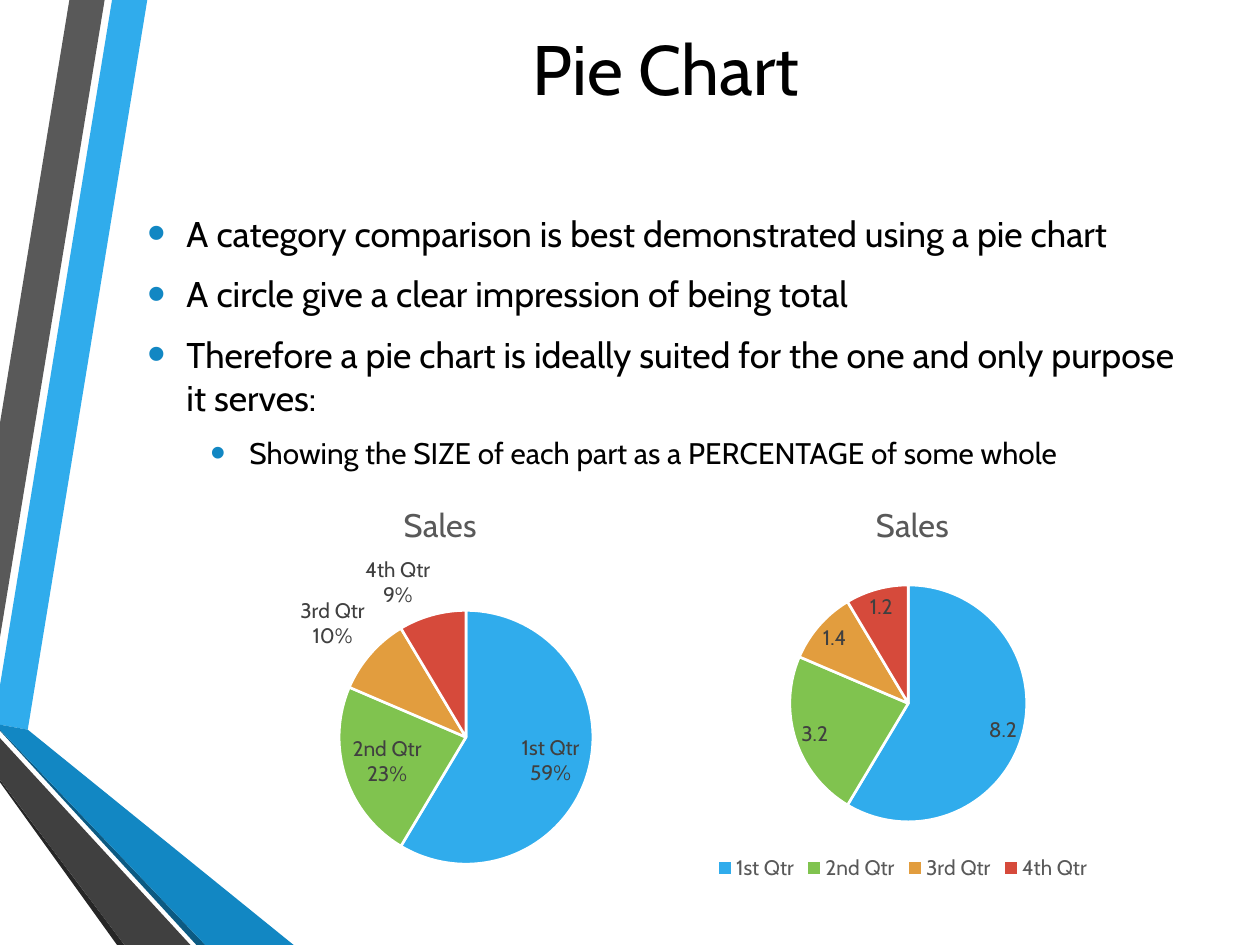
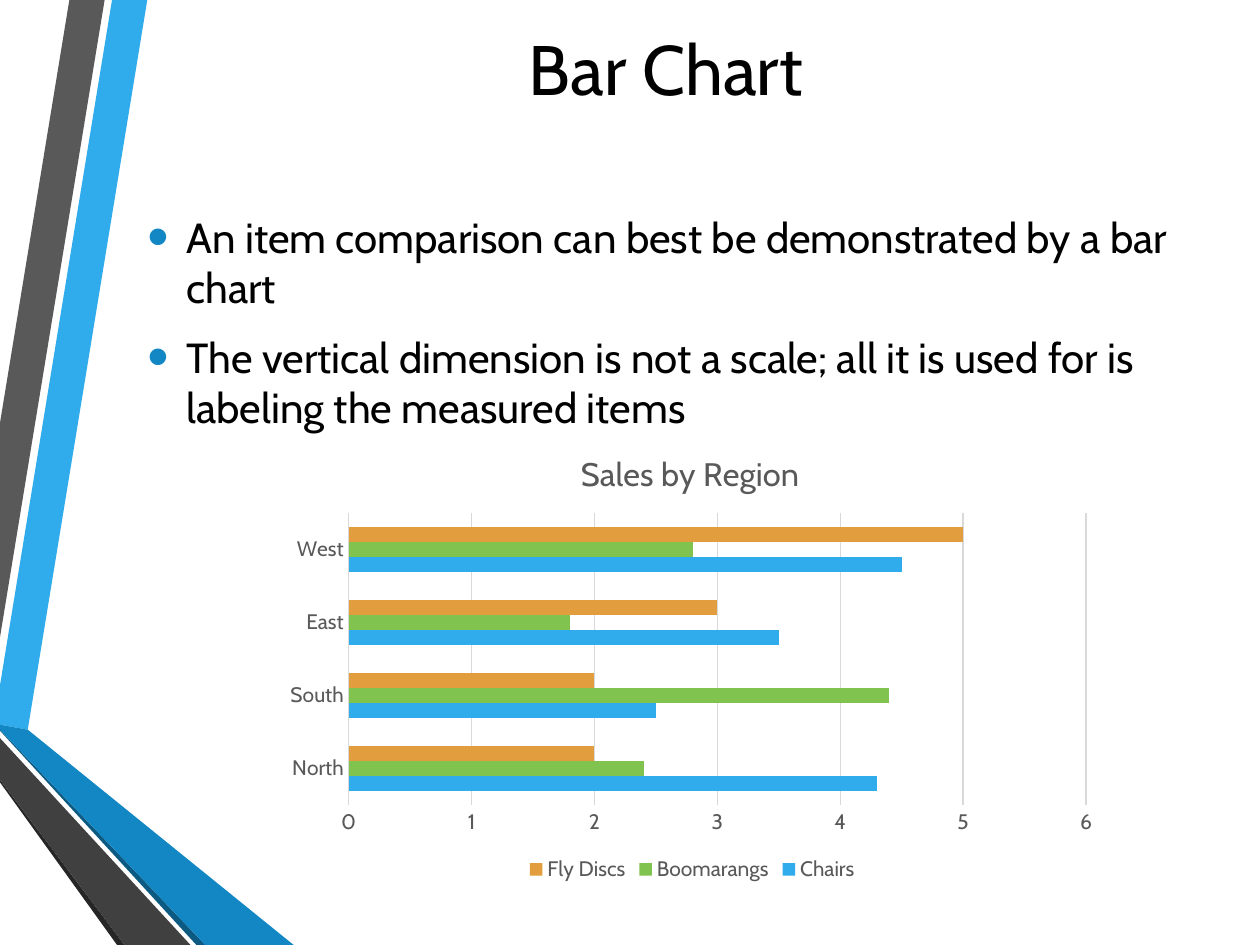
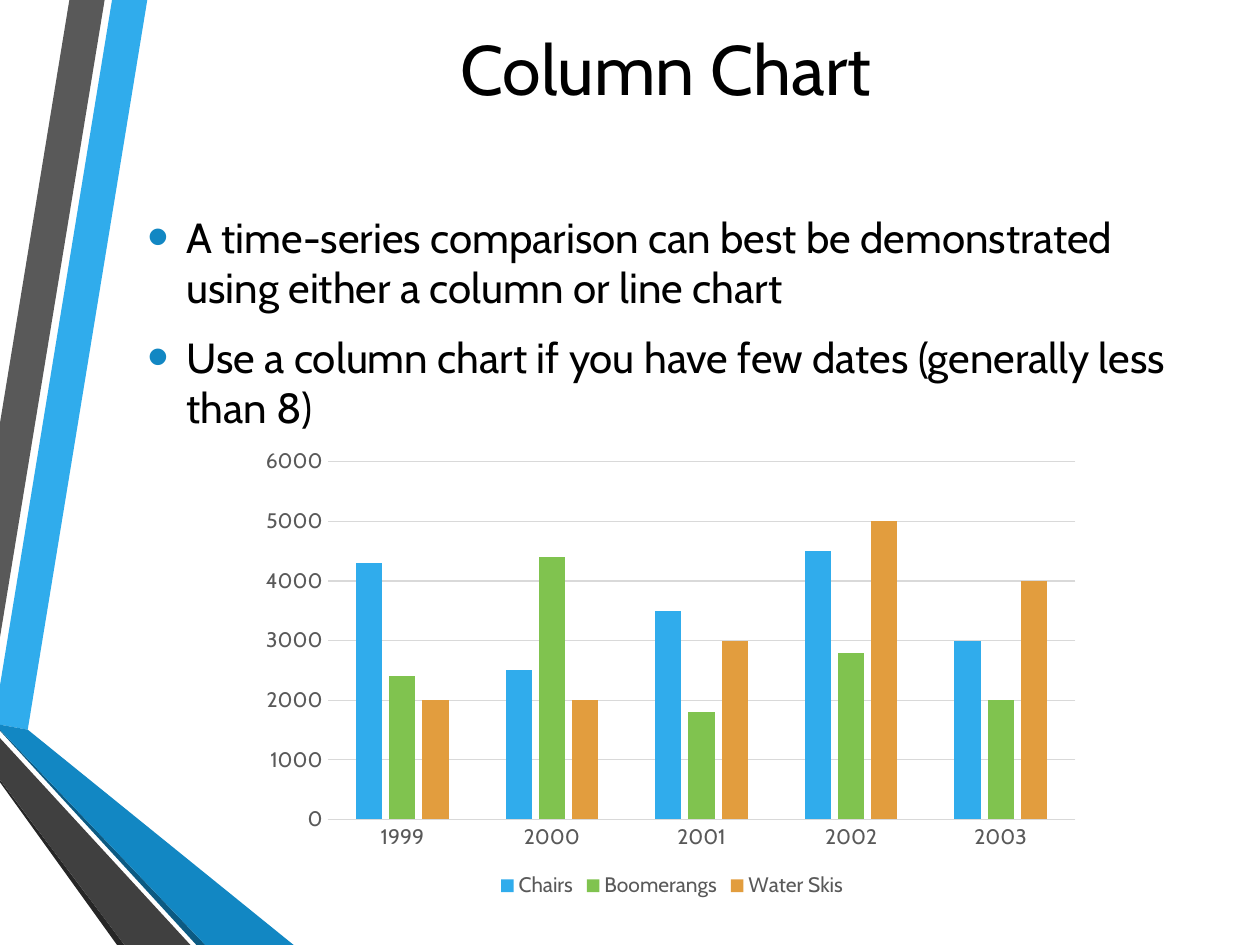
from lxml import etree
from pptx import Presentation
from pptx.chart.data import CategoryChartData
from pptx.dml.color import RGBColor
from pptx.enum.chart import (XL_CHART_TYPE, XL_LABEL_POSITION,
                             XL_LEGEND_POSITION, XL_TICK_MARK)
from pptx.enum.text import MSO_ANCHOR, PP_ALIGN
from pptx.oxml.ns import qn
from pptx.util import Cm, Pt

PIE = XL_CHART_TYPE.PIE
BAR = XL_CHART_TYPE.BAR_CLUSTERED
COLUMN = XL_CHART_TYPE.COLUMN_CLUSTERED
BEST_FIT = XL_LABEL_POSITION.BEST_FIT
BOTTOM = XL_LEGEND_POSITION.BOTTOM
NO_TICK = XL_TICK_MARK.NONE
MIDDLE, TOP = MSO_ANCHOR.MIDDLE, MSO_ANCHOR.TOP
CENTER, LEFT = PP_ALIGN.CENTER, PP_ALIGN.LEFT

FONT = "Cabin"
BLACK = RGBColor(0x00, 0x00, 0x00)
WHITE = RGBColor(0xFF, 0xFF, 0xFF)
INK = RGBColor(0x26, 0x26, 0x26)
CHARCOAL = RGBColor(0x40, 0x40, 0x40)
GRAY = RGBColor(0x59, 0x59, 0x59)
RULE = RGBColor(0xD9, 0xD9, 0xD9)
NAVY = RGBColor(0x0C, 0x5A, 0x82)
DEEP_BLUE = RGBColor(0x12, 0x87, 0xC3)
BLUE = RGBColor(0x30, 0xAC, 0xEC)
GREEN = RGBColor(0x80, 0xC3, 0x4F)
ORANGE = RGBColor(0xE2, 0x9D, 0x3E)
RED = RGBColor(0xD6, 0x4A, 0x3B)
PALETTE = [BLUE, GREEN, ORANGE, RED]

# Ribbon outlines in cm, from back to front
RIBBONS = [
    (BLUE, [(0, 13.82), (0, 14.61), (0.56, 14.71), (2.97, 0), (2.26, 0)]),
    (GRAY, [(2.11, 0), (1.4, 0), (0, 8.53), (0, 12.85)]),
    (INK, [(0, 15.72), (0, 15.77), (2.36, 19.05), (2.51, 19.05)]),
    (NAVY, [(0, 14.71), (0, 14.73), (3.96, 19.05), (4.14, 19.05)]),
    (DEEP_BLUE, [(0, 14.71), (4.14, 19.05), (5.92, 19.05), (0.56, 14.71),
                 (0, 14.61)]),
    (CHARCOAL, [(0, 15.72), (2.51, 19.05), (3.84, 19.05), (0, 14.88)]),
]

TITLE_BOX = (2.72, 0, 21.41, 2.74)
BODY_BOX = (2.72, 4.14, 21.41, 4.75)
INDENTS = [0.79, 2.06]
HANGING = 0.79

TITLE_FONT = {"name": FONT, "size": Pt(40), "color": BLACK}
CHART_TITLE_FONT = {"name": FONT, "size": Pt(18.6), "color": GRAY, "bold": False}
CHART_FONT = {"name": FONT, "size": Pt(12), "color": GRAY}
LABEL_FONT = {"name": FONT, "size": Pt(12), "color": CHARCOAL}


def style_font(font, fmt):
    for name, value in fmt.items():
        if name == "color":
            font.color.rgb = value
        else:
            setattr(font, name, value)


def add_xml(parent, tag, **attrs):
    return etree.SubElement(parent, qn(tag), attrs)


def set_bullet(p, level):
    """Hanging bullet with proportional space before."""
    pPr = p._p.get_or_add_pPr()
    pPr.set("marL", str(Cm(INDENTS[level])))
    pPr.set("indent", str(-Cm(HANGING)))
    add_xml(add_xml(pPr, "a:spcBef"), "a:spcPct", val="20000")
    add_xml(add_xml(pPr, "a:spcAft"), "a:spcPts", val="600")
    add_xml(add_xml(pPr, "a:buClr"), "a:srgbClr", val=str(DEEP_BLUE))
    add_xml(pPr, "a:buSzPct", val="145000")
    add_xml(pPr, "a:buFont", typeface="Arial")
    add_xml(pPr, "a:buChar", char="•")


def set_layout(element, index, inner=False, **fractions):
    """Fix a chart part by fractions of the chart area."""
    for old in element.findall(qn("c:layout")):
        element.remove(old)
    layout = etree.Element(qn("c:layout"))
    element.insert(index, layout)
    manual = add_xml(layout, "c:manualLayout")
    if inner:
        add_xml(manual, "c:layoutTarget", val="inner")
    for key in ("x", "y"):
        add_xml(manual, f"c:{key}Mode", val="edge")
    for key, value in fractions.items():
        add_xml(manual, f"c:{key}", val=str(value))


class Deck:
    def __init__(self):
        self.prs = Presentation()
        self.prs.slide_width, self.prs.slide_height = Cm(25.4), Cm(19.05)
        self.s = None

    def slide(self, title, bullets, size):
        self.s = self.prs.slides.add_slide(self.prs.slide_layouts[6])
        for color, points in RIBBONS:
            self.ribbon(color, points)
        tf = self.text_frame(TITLE_BOX, MIDDLE)
        self.paragraph(tf.paragraphs[0], title, TITLE_FONT, CENTER)
        self.bullets(bullets, size)

    def ribbon(self, color, points):
        start, *rest = [(Cm(x), Cm(y)) for x, y in points]
        builder = self.s.shapes.build_freeform(*start)
        builder.add_line_segments(rest, close=True)
        sp = builder.convert_to_shape()
        sp.shadow.inherit = False
        sp.fill.solid()
        sp.fill.fore_color.rgb = color
        sp.line.fill.background()

    def text_frame(self, box, anchor):
        tf = self.s.shapes.add_textbox(*map(Cm, box)).text_frame
        tf.word_wrap = True
        tf.vertical_anchor = anchor
        return tf

    def paragraph(self, p, text, fmt, align):
        p.alignment = align
        r = p.add_run()
        r.text = text
        style_font(r.font, fmt)

    def bullets(self, items, size):
        tf = self.text_frame(BODY_BOX, TOP)
        for i, (level, text) in enumerate(items):
            p = tf.add_paragraph() if i else tf.paragraphs[0]
            p.level = level
            points = size if level == 0 else 17
            fmt = {"name": FONT, "size": Pt(points), "color": BLACK}
            self.paragraph(p, text, fmt, LEFT)
            set_bullet(p, level)

    def chart(self, kind, box, cats, series, plot, title=None, title_at=None,
              legend=True):
        data = CategoryChartData()
        data.categories = cats
        for name, values in series:
            data.add_series(name, values)
        chart = self.s.shapes.add_chart(kind, *map(Cm, box), data).chart
        style_font(chart.font, {"name": FONT, "size": Pt(10), "color": BLACK})
        chart.has_title = title is not None
        if title:
            tf = chart.chart_title.text_frame
            self.paragraph(tf.paragraphs[0], title, CHART_TITLE_FONT, CENTER)
            x, y = title_at
            set_layout(chart.chart_title._element, 1, x=x, y=y)
        chart.has_legend = legend
        if legend:
            chart.legend.position = BOTTOM
            chart.legend.include_in_layout = False
            style_font(chart.legend.font, CHART_FONT)
        x, y, w, h = plot
        set_layout(chart._chartSpace.chart.plotArea, 0, inner=True,
                   x=x, y=y, w=w, h=h)
        return chart

    def pie(self, box, cats, series, plot, percent):
        chart = self.chart(PIE, box, cats, [series], plot, "Sales",
                           (0.44, 0.08), legend=not percent)
        pie = chart.plots[0]
        pie.vary_by_categories = True
        for i, color in enumerate(PALETTE):
            fmt = pie.series[0].points[i].format
            fmt.fill.solid()
            fmt.fill.fore_color.rgb = color
            fmt.line.color.rgb = WHITE
            fmt.line.width = Pt(1.5)
        pie.has_data_labels = True
        labels = pie.data_labels
        options = {"show_percentage": percent, "show_category_name": percent,
                   "show_value": not percent, "position": BEST_FIT}
        for name, value in options.items():
            setattr(labels, name, value)
        style_font(labels.font, LABEL_FONT)
        if percent:
            # Name and percentage on separate lines
            separator = etree.Element(qn("c:separator"))
            separator.text = "\n"
            labels._element.find(qn("c:showBubbleSize")).addnext(separator)

    def bars(self, kind, box, cats, series, plot, top, unit, gap, overlap=0,
             **title):
        chart = self.chart(kind, box, cats, series, plot, **title)
        bars = chart.plots[0]
        bars.vary_by_categories = False
        bars.gap_width, bars.overlap = gap, overlap
        for ser, color in zip(bars.series, PALETTE):
            ser.format.fill.solid()
            ser.format.fill.fore_color.rgb = color
            ser.invert_if_negative = False
        cat_axis, val_axis = chart.category_axis, chart.value_axis
        for axis in (cat_axis, val_axis):
            axis.major_tick_mark = axis.minor_tick_mark = NO_TICK
            style_font(axis.tick_labels.font, CHART_FONT)
        val_axis.minimum_scale, val_axis.maximum_scale = 0, top
        val_axis.major_unit = unit
        val_axis.has_major_gridlines = True
        val_axis.format.line.fill.background()
        for line in (cat_axis.format.line, val_axis.major_gridlines.format.line):
            line.color.rgb = RULE
            line.width = Pt(0.75)


def main():
    deck = Deck()

    # Pie chart
    deck.slide("Pie Chart", [
        (0, "A category comparison is best demonstrated using a pie chart"),
        (0, "A circle give a clear impression of being total"),
        (0, "Therefore a pie chart is ideally suited for the one and only "
            "purpose it serves:"),
        (1, "Showing the SIZE of each part as a PERCENTAGE of some whole"),
    ], 20.4)
    quarters = ["1st Qtr", "2nd Qtr", "3rd Qtr", "4th Qtr"]
    sales = ("Sales", [8.2, 3.2, 1.4, 1.2])
    deck.pie((3.18, 9.32, 11, 8.53), quarters, sales,
             (0.33, 0.35, 0.47, 0.6), percent=True)
    deck.pie((12.7, 9.32, 11, 8.53), quarters, sales,
             (0.29, 0.29, 0.44, 0.56), percent=False)

    # Bar chart
    deck.slide("Bar Chart", [
        (0, "An item comparison can best be demonstrated by a bar chart"),
        (0, "The vertical dimension is not a scale; all it is used for is "
            "labeling the measured items"),
    ], 24)
    deck.bars(BAR, (5.51, 8.69, 16.89, 9.19),
              ["North", "South", "East", "West"],
              [("Chairs", [4.3, 2.5, 3.5, 4.5]),
               ("Boomarangs", [2.4, 4.4, 1.8, 2.8]),
               ("Fly Discs", [2, 2, 3, 5])],
              (0.09, 0.18, 0.88, 0.64), top=6, unit=1, gap=182,
              title="Sales by Region", title_at=(0.36, 0.03))

    # Column chart
    deck.slide("Column Chart", [
        (0, "A time-series comparison can best be demonstrated using either "
            "a column or line chart"),
        (0, "Use a column chart if you have few dates (generally less than 8)"),
    ], 24)
    deck.bars(COLUMN, (5.08, 8.84, 16.94, 9.37),
              ["1999", "2000", "2001", "2002", "2003"],
              [("Chairs", [4300, 2500, 3500, 4500, 3000]),
               ("Boomerangs", [2400, 4400, 1800, 2800, 2000]),
               ("Water Skis", [2000, 2000, 3000, 5000, 4000])],
              (0.09, 0.05, 0.89, 0.77), top=6000, unit=1000, gap=219,
              overlap=-27)

    deck.prs.save("out.pptx")


if __name__ == "__main__":
    main()
